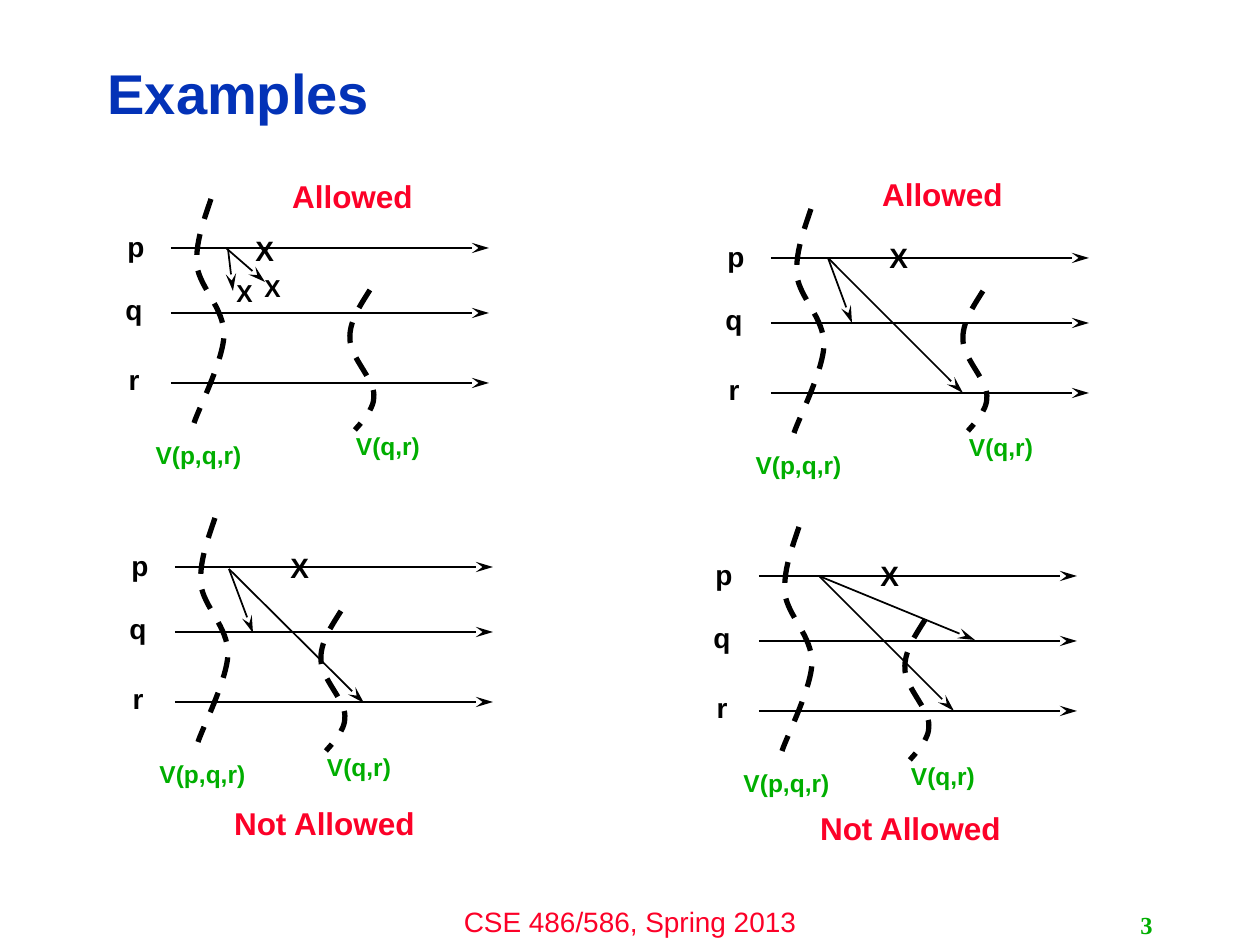
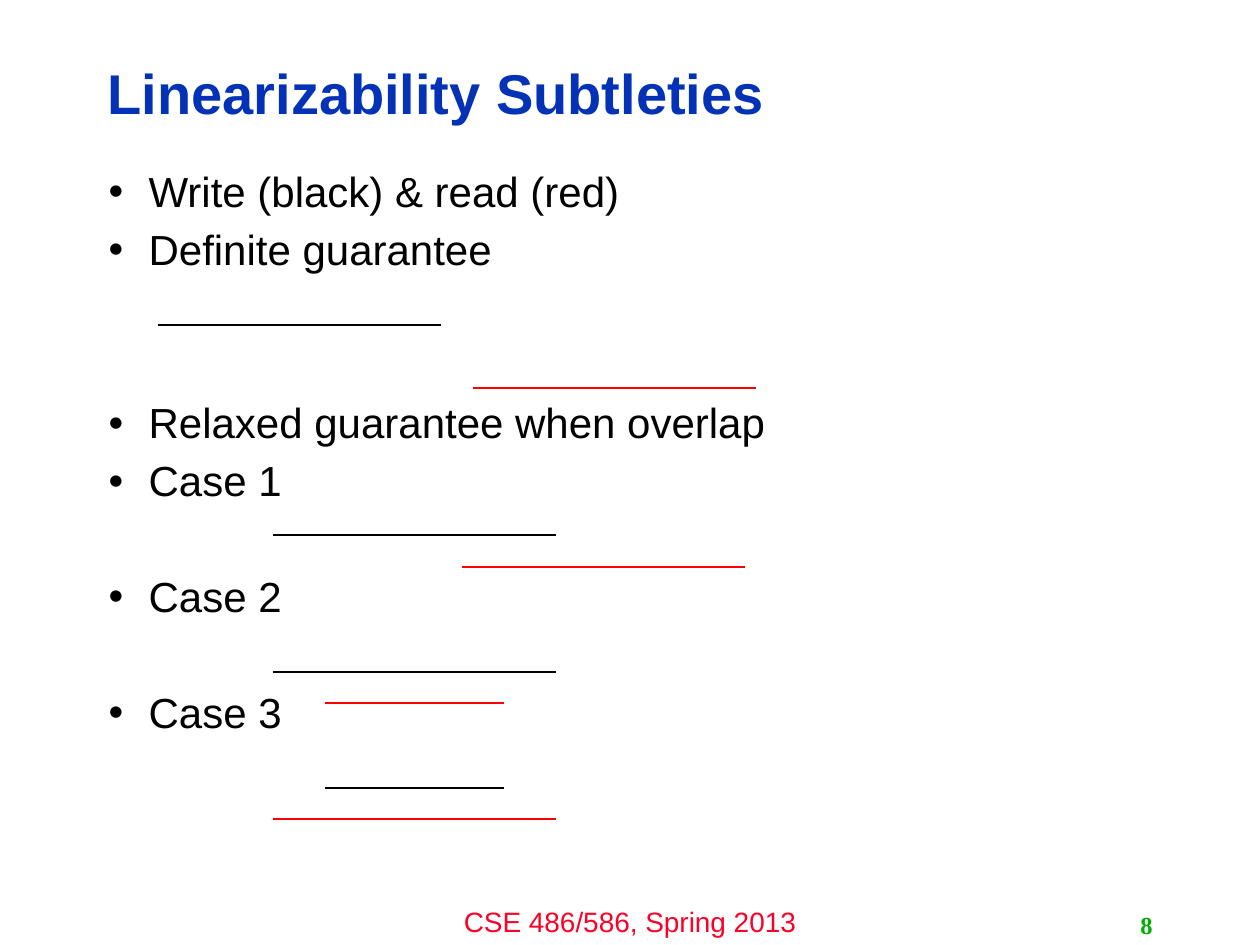
import pptx
import pptx.util
import pptx.dml.color
import pptx.enum.dml
import pptx.enum.shapes
import pptx.enum.text
import pptx.oxml
import pptx.oxml.ns
import lxml.etree

# Content; all lengths are pixels, 126 to the inch
FOOT = "CSE 486/586, Spring 2013"
BLACK, RED, CRIMSON, BLUE, GREEN = "000000", "FF0000", "FC0128", "0332B7", "00AE00"

# Each panel: start of line p, top of the second view, crosses, messages
PANELS = [
    dict(at=(171, 248), view=(370, 290), word="Allowed", spot=(238, 171),
         cross=[(243, 227, 16), (252, 267, 14), (224, 272, 14)],
         sends=[((228, 249), (233, 291)), ((226, 248), (265, 282))]),
    dict(at=(771, 258), view=(983, 291), word="Allowed", spot=(828, 169),
         cross=[(877, 234, 16)],
         sends=[((828, 258), (852, 323)), ((828, 258), (963, 393))]),
    dict(at=(175, 567), view=(341, 611), word="Not Allowed", spot=(210, 798),
         cross=[(278, 544, 16)],
         sends=[((229, 569), (253, 633)), ((229, 569), (364, 703))]),
    dict(at=(759, 576), view=(925, 620), word="Not Allowed", spot=(796, 803),
         cross=[(868, 552, 16)],
         sends=[((819, 576), (975, 640)), ((819, 576), (954, 711))]),
]
# Name, drop of the line, offset of the label
ROWS = [("p", 0, (-66, -25)), ("q", 65, (-68, 38)), ("r", 135, (-68, 108))]
SPAN = 318

# Cubic curves: a start, then three points for each piece
FULL = [(40, -49), (33, -28), (24, -5), (26, 18), (29, 40), (53, 60),
        (53, 87), (52, 113), (28, 160), (23, 175)]
PART = [(0, 0), (-10, 16), (-21, 32), (-20, 49), (-20, 67), (4, 89),
        (4, 105), (5, 120), (-11, 135), (-15, 140)]

# List items with the count of free lines above each
ITEMS = [("Write (black) & read (red)", 0), ("Definite guarantee", 0),
         ("Relaxed guarantee when overlap", 2), ("Case 1", 0),
         ("Case 2", 1), ("Case 3", 1)]
GAP, PITCH = 7.2, 33

# Write and read spans: left, right, height, colour
SPANS = [(158, 441, 325, BLACK), (473, 756, 388, RED),
         (273, 556, 535, BLACK), (325, 504, 703, RED),
         (273, 556, 672, BLACK), (462, 745, 567, RED),
         (273, 556, 819, RED), (325, 504, 788, BLACK)]

ALIGN = pptx.enum.text.PP_ALIGN
MID = pptx.enum.text.MSO_ANCHOR.MIDDLE


def px(n):
    return round(n * 914400 / 126)


def tint(code):
    return pptx.dml.color.RGBColor.from_string(code)


def add_xml(host, tag, **attrs):
    node = lxml.etree.SubElement(host, pptx.oxml.ns.qn(tag))
    for key, val in attrs.items():
        node.set(key, val)
    return node


def write(para, text, size, code, bold=False, face="Arial"):
    run = para.add_run()
    run.text = text
    font = run.font
    font.name, font.size, font.bold = face, pptx.util.Pt(size), bold
    font.color.rgb = tint(code)


def place(shape, left, top, wide, high):
    shape.left, shape.top = px(left), px(top)
    shape.width, shape.height = px(wide), px(high)


def label(shapes, text, box, size, code, bold=True, face="Arial", align=ALIGN.CENTER):
    shape = shapes.add_textbox(*map(px, box))
    frame = shape.text_frame
    frame.word_wrap = True
    frame.paragraphs[0].alignment = align
    write(frame.paragraphs[0], text, size, code, bold, face)
    return shape


def line(shapes, start, end, code=BLACK, arrow=False):
    kind = pptx.enum.shapes.MSO_CONNECTOR.STRAIGHT
    shape = shapes.add_connector(kind, *map(px, start + end))
    shape.line.width = pptx.util.Pt(1)
    shape.line.color.rgb = tint(code)
    if arrow:
        add_xml(shape.line._get_or_add_ln(), "a:tailEnd",
                type="stealth", w="med", len="lg")
    add_xml(shape._element.spPr, "a:effectLst")


def curve(shapes, at, points):
    dots = [(px(at[0] + x), px(at[1] + y)) for x, y in points]
    pen = shapes.build_freeform(*dots[0])
    pen.add_line_segments(dots[1:], close=False)
    shape = pen.convert_to_shape()
    # Join every three segments into one cubic piece
    legs = list(shape._element.iter(pptx.oxml.ns.qn("a:lnTo")))
    for i in range(0, len(legs), 3):
        piece = add_xml(legs[i].getparent(), "a:cubicBezTo")
        for leg in legs[i:i + 3]:
            piece.append(leg[0])
            leg.getparent().remove(leg)
    shape.shadow.inherit = False
    shape.fill.background()
    shape.line.width = pptx.util.Pt(3)
    shape.line.color.rgb = tint(BLACK)
    shape.line.dash_style = pptx.enum.dml.MSO_LINE.DASH


def new_slide(layout, title, number):
    slide = deck.slides.add_slide(deck.slide_layouts[layout])
    head = slide.shapes.title
    place(head, 95, 45, 1005, 102)
    frame = head.text_frame
    frame.auto_size = pptx.enum.text.MSO_AUTO_SIZE.NONE
    frame.vertical_anchor = MID
    para = frame.paragraphs[0]
    para.alignment, para.line_spacing = ALIGN.LEFT, 0.9
    write(para, title, 32, BLUE, True)
    page = label(slide.shapes, number, (903, 905, 262, 40), 14, GREEN,
                 face="Times New Roman", align=ALIGN.RIGHT)
    page.text_frame.vertical_anchor = MID
    return slide


def draw(shapes, panel):
    # Process lines and the full view
    x, y = panel["at"]
    group = shapes.add_group_shape().shapes
    for name, drop, (dx, dy) in ROWS:
        line(group, (x, y + drop), (x + SPAN, y + drop), arrow=True)
        label(group, name, (x + dx, y + dy, 62, 43), 16, BLACK)
    curve(group, (x, y), FULL)
    label(group, "V(p,q,r)", (x - 35, y + 186, 125, 39), 14, GREEN)
    # The later view
    left, top = panel["view"]
    group = shapes.add_group_shape().shapes
    curve(group, (left, top), PART)
    label(group, "V(q,r)", (left - 41, top + 135, 118, 39), 14, GREEN)
    # Messages and crashes
    group = shapes.add_group_shape().shapes
    for start, end in panel["sends"]:
        line(group, start, end, arrow=True)
    for left, top, size in panel["cross"]:
        label(group, "X", (left, top, 39, 43 if size == 16 else 39), size, BLACK)
    label(shapes, panel["word"], panel["spot"] + (229, 47), 18, CRIMSON)


deck = pptx.Presentation()
deck.slide_width, deck.slide_height = px(1260), px(945)

# Slide with four panels
slide = new_slide(5, "Examples", "3")
for panel in PANELS:
    draw(slide.shapes, panel)

# The footer is made once and moved to the master
foot = label(slide.shapes, FOOT, (420, 898, 420, 47), 16, CRIMSON, bold=False)
deck.slide_master.shapes._spTree.append(foot._element)

# Slide with list and spans
slide = new_slide(1, "Linearizability Subtleties", "8")
body = slide.placeholders[1]
place(body, 96, 165, 1058, 679)
frame = body.text_frame
frame.auto_size = pptx.enum.text.MSO_AUTO_SIZE.NONE
for i, (text, free) in enumerate(ITEMS):
    para = frame.add_paragraph() if i else frame.paragraphs[0]
    para.line_spacing = 0.9
    para.space_before = pptx.util.Pt(GAP + free * PITCH if i else 0)
    props = para._p.get_or_add_pPr()
    props.set("marL", str(px(40)))
    props.set("indent", str(px(-40)))
    add_xml(props, "a:buChar", char="•")
    write(para, text, 24, BLACK)
for left, right, top, code in SPANS:
    line(slide.shapes, (left, top), (right, top), code)

deck.save("out.pptx")
